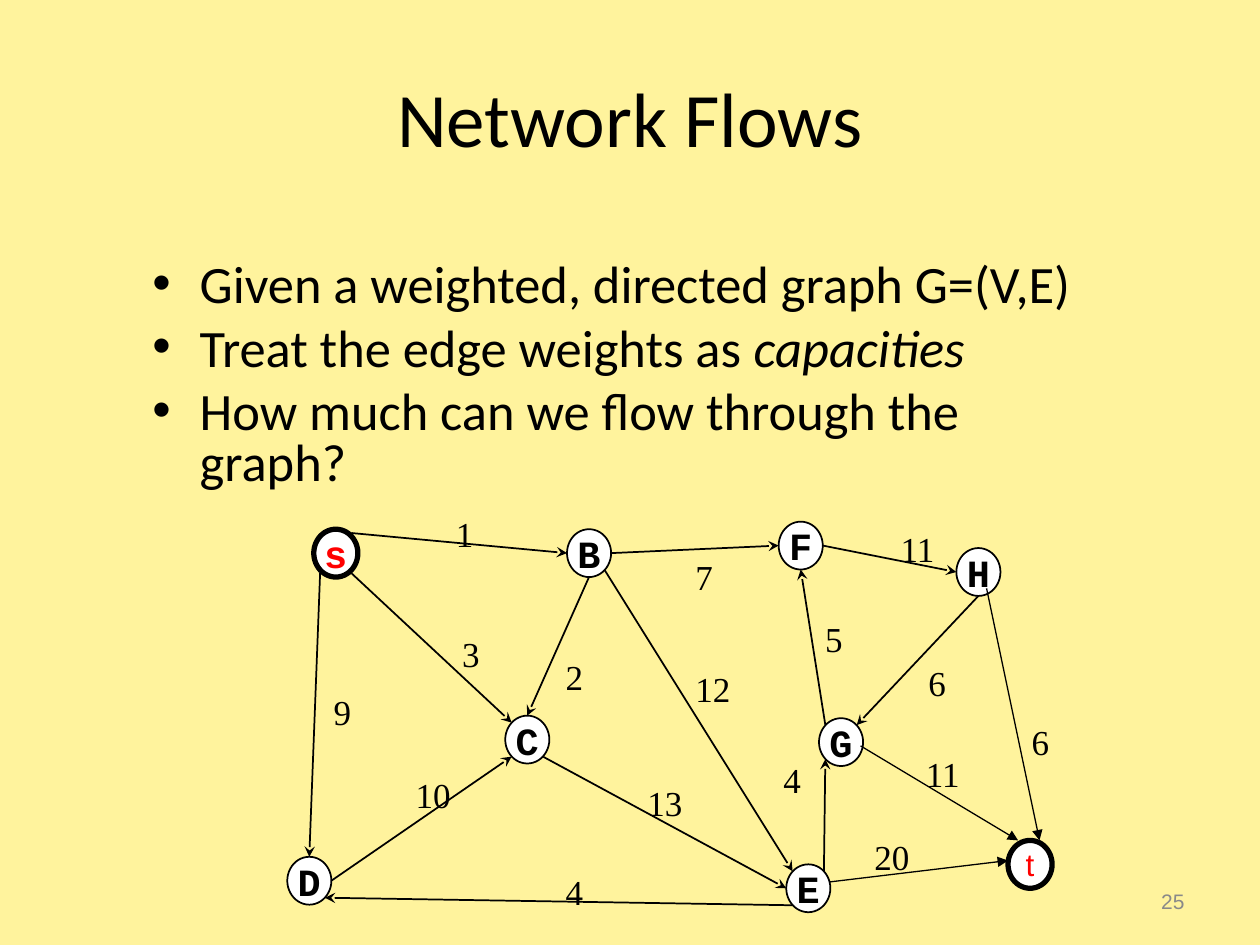
from lxml import etree
from pptx import Presentation
from pptx.dml.color import RGBColor
from pptx.enum.shapes import MSO_CONNECTOR, MSO_SHAPE
from pptx.enum.text import MSO_ANCHOR, MSO_AUTO_SIZE, PP_ALIGN
from pptx.oxml.ns import qn
from pptx.util import Inches, Pt

OVAL, STRAIGHT = MSO_SHAPE.OVAL, MSO_CONNECTOR.STRAIGHT
LEFT, CENTER, RIGHT = PP_ALIGN.LEFT, PP_ALIGN.CENTER, PP_ALIGN.RIGHT
TOP, MIDDLE = MSO_ANCHOR.TOP, MSO_ANCHOR.MIDDLE
NO_FIT, GROW = MSO_AUTO_SIZE.NONE, MSO_AUTO_SIZE.SHAPE_TO_FIT_TEXT

COLUMNS = 100  # square grid cells across the slide
NODE_W, NODE_H = 3.5, 3.8
DIAGONAL = 0.71
COMPASS = {"n": (0, -1), "s": (0, 1), "w": (-1, 0), "e": (1, 0),
           "nw": (-1, -1), "ne": (1, -1), "sw": (-1, 1), "se": (1, 1)}

BULLETS = [
    [("Given a weighted, directed graph G=(V,E)", False)],
    [("Treat the edge weights as ", False), ("capacities", True)],
    [("How much can we flow through the graph?", False)],
]

# Vertex: left column, top row
VERTICES = {
    "s": (24.9, 42), "C": (40.1, 56.8), "B": (45, 42), "D": (22.8, 68),
    "F": (61.8, 41.4), "H": (75.9, 43.5), "G": (65, 57), "E": (62.4, 68.6),
    "t": (80, 66.7),
}
# Tail, side, head, side, capacity, left and top of its label.
# A side is a compass point or an offset from the vertex centre.
EDGES = [
    ("s", "ne", "B", "w", "1", 35.2, 40.2),
    ("B", "s", "C", "n", "2", 43.9, 51.5),
    ("D", "e", "C", "sw", "10", 32, 60.9),
    ("s", "sw", "D", "n", "9", 25.5, 54.3),
    ("C", "se", "E", "w", "13", 50.4, 61.5),
    ("E", "sw", "D", "se", "4", 43.9, 68.6),
    ("G", "nw", "F", "s", "5", 64.5, 48.5),
    ("F", "e", "H", "w", "11", 70.5, 41.4),
    ("H", "s", "G", "ne", "6", 72.7, 52),
    ("B", "e", "F", "w", "7", 54.2, 43.6),
    ("B", "se", "E", "nw", "12", 54.2, 52.5),
    ("s", "se", "C", "nw", "3", 35.7, 49.7),
    ("E", "ne", "G", "sw", "4", 61.2, 59.7),
    ("E", (1.65, -0.5), "t", (-1.75, -0.3), "20", 68.4, 65.8),
    ("G", (1.55, 0.3), "t", (-0.95, -1.9), "11", 72.5, 59.2),
    ("H", (0.65, 1.3), "t", (0.75, -1.9), "6", 80.9, 56.7),
]


def color(hex_string):
    return RGBColor.from_string(hex_string)


class GraphSlide:
    BACKGROUND, INK, ACCENT, PAPER, MUTED = (
        "FFF39D", "000000", "FF0000", "FFFFFF", "898989")
    BODY_FONT, NODE_FONT, LABEL_FONT, PLAIN_FONT = (
        "Calibri", "Courier New", "Times New Roman", "Arial")

    def __init__(self, deck):
        self.unit = deck.slide_width / COLUMNS
        self.slide = deck.slides.add_slide(deck.slide_layouts[1])
        self.slide.background.fill.solid()
        self.slide.background.fill.fore_color.rgb = color(self.BACKGROUND)

    def cells(self, *lengths):
        return [round(length * self.unit) for length in lengths]

    def place(self, shape, *box):
        shape.left, shape.top, shape.width, shape.height = self.cells(*box)

    def add_text(self, paragraph, text, size, font, ink=INK, bold=False,
                 italic=False):
        run = paragraph.add_run()
        run.text = text
        run.font.size, run.font.name = Pt(size), font
        run.font.bold, run.font.italic = bold, italic
        run.font.color.rgb = color(ink)

    def title(self, text):
        heading = self.slide.shapes.title
        self.place(heading, 5, 3, 90, 12.5)
        heading.text_frame.vertical_anchor = MIDDLE
        paragraph = heading.text_frame.paragraphs[0]
        paragraph.alignment = CENTER
        self.add_text(paragraph, text, 44, self.BODY_FONT)

    def bullets(self, items):
        body = self.slide.placeholders[1]
        self.place(body, 11.1, 20.1, 78.3, 20.5)
        frame = body.text_frame
        frame.auto_size = NO_FIT
        frame.margin_top = Inches(0.08)
        for index, runs in enumerate(items):
            paragraph = frame.add_paragraph() if index else frame.paragraphs[0]
            paragraph.line_spacing = 0.8
            paragraph.space_before = Pt(7.5 if index else 0)
            for text, italic in runs:
                self.add_text(paragraph, text, 30, self.BODY_FONT,
                              italic=italic)

    def text(self, text, box, size, font, ink=INK, align=LEFT, anchor=TOP,
             wrap=False, fit=GROW):
        frame = self.slide.shapes.add_textbox(*self.cells(*box)).text_frame
        frame.word_wrap, frame.auto_size = wrap, fit
        frame.vertical_anchor = anchor
        frame.paragraphs[0].alignment = align
        self.add_text(frame.paragraphs[0], text, size, font, ink)

    def label(self, capacity, left, top):
        width = 2 + 1.4 * len(capacity)
        self.text(capacity, (left, top, width, 4.4), 20, self.LABEL_FONT)

    def page_number(self, number):
        self.text(number, (71.7, 69.5, 23.3, 4), 12, self.PLAIN_FONT,
                  self.MUTED, RIGHT, MIDDLE, wrap=True, fit=NO_FIT)

    def vertex(self, name, left, top):
        terminal = name in ("s", "t")
        node = self.slide.shapes.add_shape(
            OVAL, *self.cells(left, top, NODE_W, NODE_H))
        node.shadow.inherit = False
        node.fill.solid()
        node.fill.fore_color.rgb = color(self.PAPER)
        node.line.color.rgb = color(self.INK)
        node.line.width = Pt(3 if terminal else 1)
        frame = node.text_frame
        frame.word_wrap, frame.vertical_anchor = False, MIDDLE
        frame.paragraphs[0].alignment = CENTER
        sink = name == "t"
        self.add_text(frame.paragraphs[0], name, 18 if sink else 22,
                      self.PLAIN_FONT if sink else self.NODE_FONT,
                      self.ACCENT if terminal else self.INK, bold=not sink)

    def port(self, name, side):
        left, top = VERTICES[name]
        if side in COMPASS:
            dx, dy = COMPASS[side]
            reach = DIAGONAL if dx and dy else 1
            # Edges leave the source a little outside its thick outline
            rise = 0.84 if name == "s" else reach
            offset = dx * reach * NODE_W / 2, dy * rise * NODE_H / 2
        else:
            offset = side
        return self.cells(left + NODE_W / 2 + offset[0],
                          top + NODE_H / 2 + offset[1])

    def edge(self, tail, tail_side, head, head_side):
        to_sink = head == "t"
        arrow = self.slide.shapes.add_connector(
            STRAIGHT, *self.port(tail, tail_side), *self.port(head, head_side))
        arrow.line.color.rgb = color(self.INK)
        arrow.line.width = Pt(0.75 if to_sink else 1)
        properties = arrow._element.spPr
        etree.SubElement(properties.find(qn("a:ln")), qn("a:tailEnd"),
                         type="triangle" if to_sink else "stealth")
        etree.SubElement(properties, qn("a:effectLst"))


def main():
    deck = Presentation()
    deck.slide_width, deck.slide_height = Inches(10), Inches(7.5)
    page = GraphSlide(deck)

    # Heading, list and page number
    page.title("Network Flows")
    page.bullets(BULLETS)
    page.page_number("25")

    # Flow network
    for name, corner in VERTICES.items():
        page.vertex(name, *corner)
    for *ends, capacity, left, top in EDGES:
        page.edge(*ends)
        page.label(capacity, left, top)

    deck.save("out.pptx")


if __name__ == "__main__":
    main()
